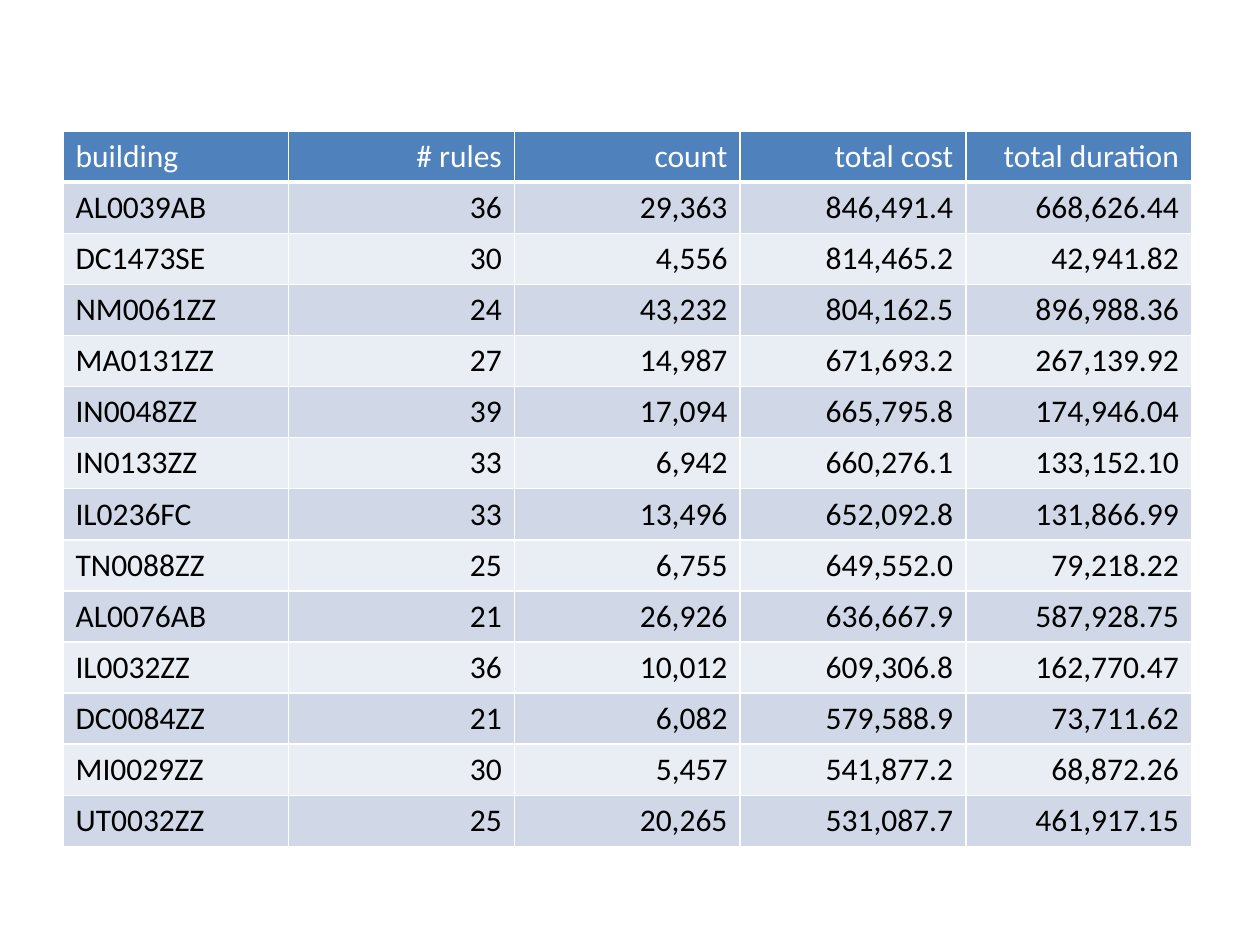
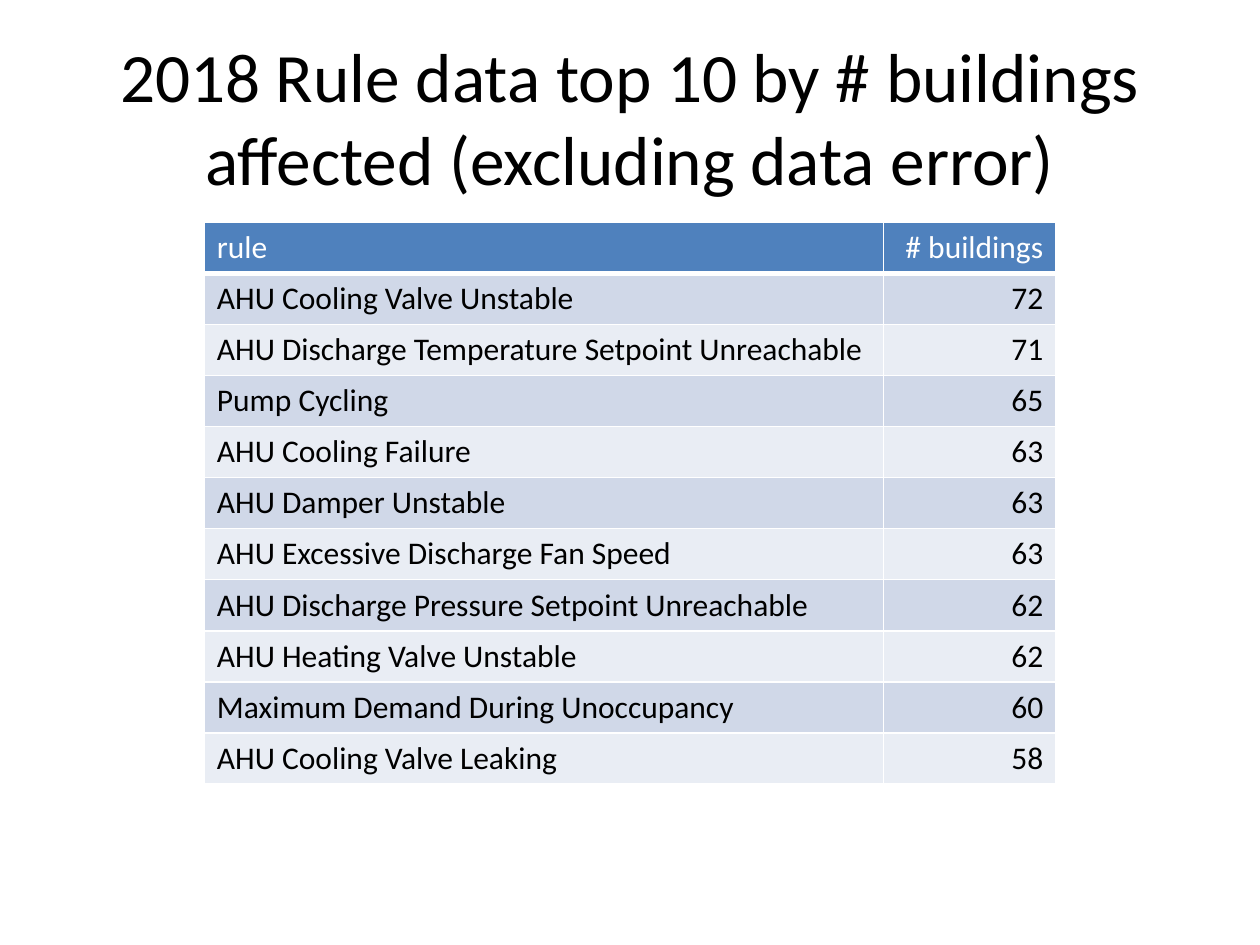
from dataclasses import dataclass

from lxml import etree
from pptx import Presentation
from pptx.dml.color import RGBColor
from pptx.enum import text
from pptx.oxml import ns
from pptx.util import Pt

WHITE = RGBColor(0xFF, 0xFF, 0xFF)
BLACK = RGBColor(0x00, 0x00, 0x00)
BLUE = RGBColor(0x4F, 0x81, 0xBD)
BANDS = RGBColor(0xE9, 0xED, 0xF4), RGBColor(0xD0, 0xD8, 0xE8)
FACE = "Calibri"
ROW = 28.8
RULE = 1
THICK = 3


@dataclass(frozen=True)
class Grid:
    left: float
    top: float
    cols: tuple[float, ...]
    rows: tuple[tuple[str, ...], ...]


@dataclass(frozen=True)
class Page:
    grid: Grid
    title: str = ""


COSTS = Grid(36, 74.9, (129,) * 5, (
    ("building", "# rules", "count", "total cost", "total duration"),
    ("AL0039AB", "36", "29,363", "846,491.4", "668,626.44"),
    ("DC1473SE", "30", "4,556", "814,465.2", "42,941.82"),
    ("NM0061ZZ", "24", "43,232", "804,162.5", "896,988.36"),
    ("MA0131ZZ", "27", "14,987", "671,693.2", "267,139.92"),
    ("IN0048ZZ", "39", "17,094", "665,795.8", "174,946.04"),
    ("IN0133ZZ", "33", "6,942", "660,276.1", "133,152.10"),
    ("IL0236FC", "33", "13,496", "652,092.8", "131,866.99"),
    ("TN0088ZZ", "25", "6,755", "649,552.0", "79,218.22"),
    ("AL0076AB", "21", "26,926", "636,667.9", "587,928.75"),
    ("IL0032ZZ", "36", "10,012", "609,306.8", "162,770.47"),
    ("DC0084ZZ", "21", "6,082", "579,588.9", "73,711.62"),
    ("MI0029ZZ", "30", "5,457", "541,877.2", "68,872.26"),
    ("UT0032ZZ", "25", "20,265", "531,087.7", "461,917.15"),
))

RULES = Grid(116.8, 126.9, (388, 98.6), (
    ("rule", "# buildings"),
    ("AHU Cooling Valve Unstable", "72"),
    ("AHU Discharge Temperature Setpoint Unreachable", "71"),
    ("Pump Cycling", "65"),
    ("AHU Cooling Failure", "63"),
    ("AHU Damper Unstable", "63"),
    ("AHU Excessive Discharge Fan Speed", "63"),
    ("AHU Discharge Pressure Setpoint Unreachable", "62"),
    ("AHU Heating Valve Unstable", "62"),
    ("Maximum Demand During Unoccupancy", "60"),
    ("AHU Cooling Valve Leaking", "58"),
))

PAGES = (
    Page(COSTS),
    Page(RULES, "2018 Rule data top 10 by # buildings affected (excluding data error)"),
)


def style(para, size: float, color: RGBColor, align) -> None:
    para.alignment = align
    for run in para.runs:
        font = run.font
        font.name, font.size, font.bold = FACE, Pt(size), False
        font.color.rgb = color


def edge(cell, base: float) -> None:
    props = cell._tc.get_or_add_tcPr()
    for side, width in zip("LRTB", (RULE, RULE, RULE, base)):
        line = etree.SubElement(props, ns.qn(f"a:ln{side}"), w=str(Pt(width)))
        fill = etree.SubElement(line, ns.qn("a:solidFill"))
        etree.SubElement(fill, ns.qn("a:srgbClr"), val=str(WHITE))


def draw_grid(slide, grid: Grid) -> None:
    count = len(grid.rows)
    table = slide.shapes.add_table(
        count, len(grid.cols), Pt(grid.left), Pt(grid.top),
        Pt(sum(grid.cols)), Pt(ROW * count)).table
    for col, width in zip(table.columns, grid.cols):
        col.width = Pt(width)
    for r, row in enumerate(grid.rows):
        head = r == 0
        table.rows[r].height = Pt(ROW)
        for c, words in enumerate(row):
            cell = table.cell(r, c)
            edge(cell, THICK if head else RULE)
            cell.fill.solid()
            cell.fill.fore_color.rgb = BLUE if head else BANDS[r % 2]
            cell.text_frame.text = words
            align = text.PP_ALIGN.RIGHT if c else text.PP_ALIGN.LEFT
            style(cell.text_frame.paragraphs[0], 18, WHITE if head else BLACK, align)


def draw_title(slide, words: str) -> None:
    frame = slide.shapes.add_textbox(Pt(36), Pt(21.6), Pt(648), Pt(90)).text_frame
    frame.word_wrap = True
    frame.vertical_anchor = text.MSO_ANCHOR.MIDDLE
    frame.text = words
    style(frame.paragraphs[0], 39.6, BLACK, text.PP_ALIGN.CENTER)


def main() -> None:
    deck = Presentation()
    deck.slide_width, deck.slide_height = Pt(720), Pt(540)
    for page in PAGES:
        slide = deck.slides.add_slide(deck.slide_layouts[6])
        draw_grid(slide, page.grid)
        if page.title:
            draw_title(slide, page.title)
    deck.save("out.pptx")


if __name__ == "__main__":
    main()
